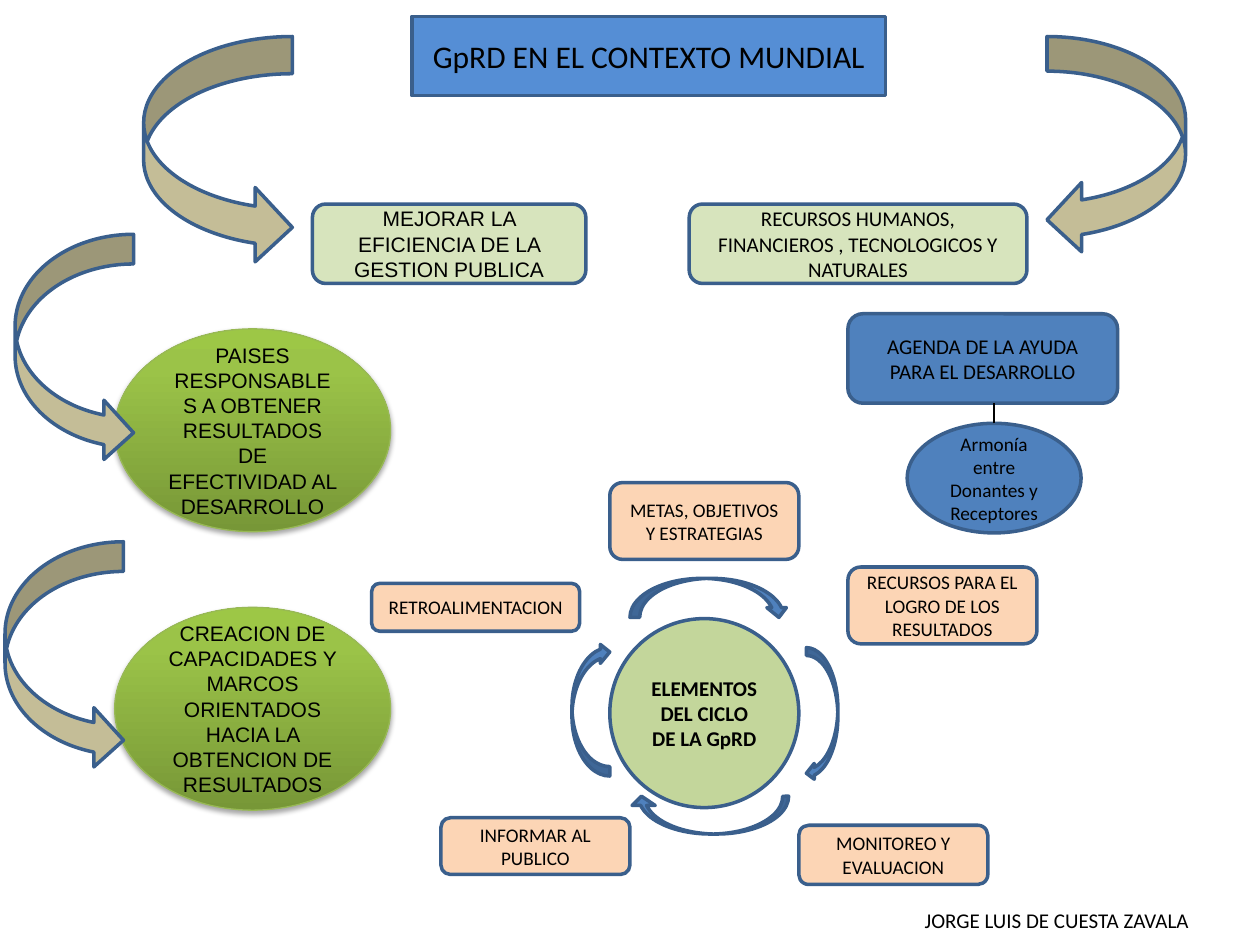
from pptx import Presentation
from pptx import util as u
from pptx.dml.color import RGBColor
from pptx.enum import shapes, text
from pptx.oxml import parse_xml
from pptx.oxml.ns import nsdecls

COLS, ROWS = 100, 75
HUES = {
    "edge": "3A5F8C", "blue": "4F81BD", "head": "558ED5", "sand": "C4BD97",
    "mint": "D7E4BD", "sage": "C3D69B", "peach": "FCD5B5", "rim": "98B955",
    "dark": "779737", "mid": "9BC348", "lime": "9DC746", "ink": "000000",
}
KIND = shapes.MSO_SHAPE
ROUND, OVAL = KIND.ROUNDED_RECTANGLE, KIND.OVAL
DOWN, LEFT, RIGHT = (KIND.CURVED_DOWN_ARROW, KIND.CURVED_LEFT_ARROW,
                     KIND.CURVED_RIGHT_ARROW)

HUB = (48.4, 49.1, 15, 15)
RING = [
    (DOWN, (50, 45.9, 12.6, 3.1), False, ()),
    (LEFT, (64, 51.4, 2.5, 10.6), False, ()),
    (LEFT, (45.4, 51, 3, 10.6), True, ()),
    (DOWN, (50, 63.2, 12.6, 3), True, (0.157, 0.612, 0.243)),
]
STEPS = [
    ("METAS, OBJETIVOS Y ESTRATEGIAS", (48.4, 38.3, 15, 6.1)),
    ("RECURSOS PARA EL LOGRO DE LOS RESULTADOS", (67.3, 45, 15, 6.1)),
    ("RETROALIMENTACION", (29.5, 46.3, 16.5, 3.8)),
    ("MONITOREO Y EVALUACION", (63.4, 65.5, 15, 4.7)),
    ("INFORMAR AL PUBLICO", (35, 64.9, 15, 4.5)),
]
TITLE = ("GpRD EN EL CONTEXTO MUNDIAL", (32.7, 1.3, 37.6, 6.3))
GOALS = [
    ("MEJORAR LA EFICIENCIA DE LA GESTION PUBLICA",
     (24.8, 16.2, 21.7, 6.3), "Arial"),
    ("RECURSOS HUMANOS, FINANCIEROS , TECNOLOGICOS Y NATURALES",
     (54.7, 16.2, 26.8, 6.3), "Calibri"),
]
AID = ("AGENDA DE LA AYUDA PARA EL DESARROLLO", (67.3, 24.9, 21.4, 7.1))
PACT = ("Armonía entre Donantes y Receptores", (72, 33.6, 13.8, 8.7))
DUTIES = [
    ("PAISES RESPONSABLES A OBTENER RESULTADOS DE EFECTIVIDAD AL DESARROLLO",
     (9.1, 26.1, 21.9, 16.1)),
    ("CREACION DE CAPACIDADES Y MARCOS ORIENTADOS HACIA LA OBTENCION DE RESULTADOS",
     (9.1, 48.2, 21.9, 16.1)),
]
TOP = [(RIGHT, (11.4, 2.9, 11.8, 18.1)), (LEFT, (83.1, 2.9, 11, 17.3))]
SIDE = [(RIGHT, (1.2, 18.6, 9.4, 18.1)), (RIGHT, (0.4, 43, 9.4, 18.1))]
AUTHOR = ("JORGE LUIS DE CUESTA ZAVALA", (72.4, 71.5, 26.5, 3))

deck = Presentation()
deck.slide_width, deck.slide_height = u.Inches(10), u.Inches(7.5)
slide = deck.slides.add_slide(deck.slide_layouts[6])
WIDE, HIGH = deck.slide_width / COLS, deck.slide_height / ROWS


def place(box):
    return [round(n * size) for n, size in zip(box, (WIDE, HIGH) * 2)]


def tint(name):
    return RGBColor.from_string(HUES[name])


def write(item, words, size, font="Calibri", bold=False):
    item.text_frame.text = words
    run = item.text_frame.paragraphs[0].runs[0]
    run.font.size, run.font.name = u.Pt(size), font
    run.font.bold = bold
    run.font.color.rgb = tint("ink")


def draw(kind, box, fill, edge="edge", width=2):
    item = slide.shapes.add_shape(kind, *place(box))
    item.fill.solid()
    item.fill.fore_color.rgb = tint(fill)
    item.line.color.rgb = tint(edge)
    item.line.width = u.Pt(width)
    item.shadow.inherit = False
    return item


def label(item, words, size, font="Calibri", bold=False):
    write(item, words, size, font, bold)
    frame = item.text_frame
    frame.word_wrap = True
    frame.vertical_anchor = text.MSO_ANCHOR.MIDDLE
    frame.paragraphs[0].alignment = text.PP_ALIGN.CENTER


def gloss(item):
    stops = "".join(
        f'<a:gs pos="{pos * 1000}"><a:srgbClr val="{HUES[name]}"/></a:gs>'
        for pos, name in ((0, "dark"), (80, "mid"), (100, "lime")))
    props = item.element.spPr
    flat = props.find("{*}solidFill")
    props.replace(flat, parse_xml(
        f'<a:gradFill {nsdecls("a")} rotWithShape="1"><a:gsLst>{stops}</a:gsLst>'
        '<a:lin ang="16200000" scaled="0"/></a:gradFill>'))
    props.find("{*}effectLst").append(parse_xml(
        f'<a:outerShdw {nsdecls("a")} blurRad="{u.Pt(3.1)}" dist="{u.Pt(1.8)}" '
        f'dir="5400000" rotWithShape="0"><a:srgbClr val="{HUES["ink"]}">'
        '<a:alpha val="35000"/></a:srgbClr></a:outerShdw>'))


label(draw(KIND.FLOWCHART_CONNECTOR, HUB, "sage"),
      "ELEMENTOS DEL CICLO DE LA GpRD", 12, bold=True)
for kind, box, flip, bends in RING:
    arrow = draw(kind, box, "blue")
    for spot, bend in enumerate(bends):
        arrow.adjustments[spot] = bend
    if flip:
        frame = arrow.element.spPr.find("{*}xfrm")
        frame.set("flipH", "1")
        frame.set("flipV", "1")
for words, box in STEPS:
    label(draw(ROUND, box, "peach"), words, 11)

label(draw(KIND.RECTANGLE, TITLE[1], "head"), TITLE[0], 18)
for kind, box in TOP:
    draw(kind, box, "sand")
for words, box, font in GOALS:
    label(draw(ROUND, box, "mint"), words, 12, font)

label(draw(ROUND, AID[1], "blue"), AID[0], 12)
label(draw(OVAL, PACT[1], "blue"), PACT[0], 11)
mid = PACT[1][0] + PACT[1][2] / 2
base = AID[1][1] + AID[1][3]
link = slide.shapes.add_connector(
    shapes.MSO_CONNECTOR.STRAIGHT, *place((mid, PACT[1][1], mid, base)))
link.line.color.rgb = tint("ink")
link.line.width = u.Pt(1.5)
link.element.spPr.append(parse_xml(f'<a:effectLst {nsdecls("a")}/>'))

for words, box in DUTIES:
    duty = draw(OVAL, box, "mid", "rim", 0.75)
    gloss(duty)
    label(duty, words, 12, "Arial")
for kind, box in SIDE:
    draw(kind, box, "sand")

note = slide.shapes.add_textbox(*place(AUTHOR[1]))
write(note, AUTHOR[0], 12)
note.text_frame.word_wrap = True
note.text_frame.auto_size = text.MSO_AUTO_SIZE.SHAPE_TO_FIT_TEXT

deck.save("out.pptx")
